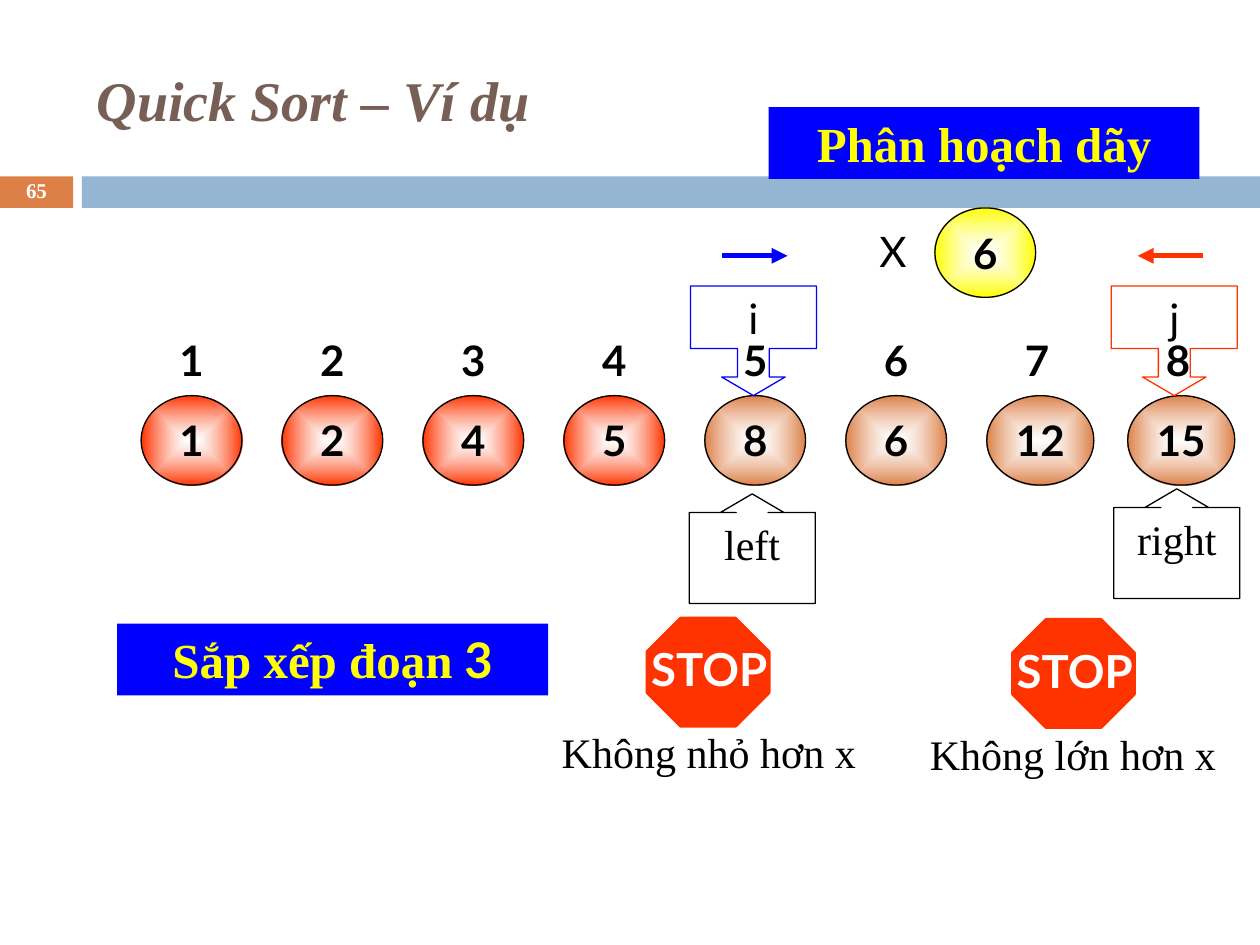
"""Build the Quick Sort partition example slide."""
from lxml import etree
from pptx import Presentation
from pptx.dml.color import RGBColor
from pptx.enum.shapes import MSO_CONNECTOR, MSO_SHAPE
from pptx.enum.text import MSO_ANCHOR, PP_ALIGN
from pptx.oxml import parse_xml
from pptx.oxml.ns import nsdecls, qn
from pptx.util import Inches, Pt

RECT, OVAL, STOP = MSO_SHAPE.RECTANGLE, MSO_SHAPE.OVAL, MSO_SHAPE.OCTAGON
UP, DOWN = MSO_SHAPE.UP_ARROW_CALLOUT, MSO_SHAPE.DOWN_ARROW_CALLOUT
LEFT, CENTER = PP_ALIGN.LEFT, PP_ALIGN.CENTER
TOP, MIDDLE = MSO_ANCHOR.TOP, MSO_ANCHOR.MIDDLE
STRAIGHT = MSO_CONNECTOR.STRAIGHT

BLACK = RGBColor(0x00, 0x00, 0x00)
WHITE = RGBColor(0xFF, 0xFF, 0xFF)
YELLOW = RGBColor(0xFF, 0xFF, 0x00)
BLUE = RGBColor(0x00, 0x00, 0xFF)
RED = RGBColor(0xFF, 0x33, 0x00)
ORANGE = RGBColor(0xDD, 0x80, 0x47)
SKY = RGBColor(0x94, 0xB6, 0xD2)
BROWN = RGBColor(0x77, 0x5F, 0x55)
SANS, SERIF = "Lato", "Times New Roman"

deck = Presentation()
deck.slide_width, deck.slide_height = Inches(10), Inches(7.5)
slide = deck.slides.add_slide(deck.slide_layouts[6])


def add_box(kind, x, y, w, h, fill=None, line=None, weight=0.75, glow=None):
    box = slide.shapes.add_shape(kind, Inches(x), Inches(y), Inches(w), Inches(h))
    box.shadow.inherit = False
    if fill is None:
        box.fill.background()
    else:
        box.fill.solid()
        box.fill.fore_color.rgb = fill
    if line is None:
        box.line.fill.background()
    else:
        box.line.color.rgb = line
        box.line.width = Pt(weight)
    if glow is not None:
        props = box.fill._xPr
        props.replace(props.find(qn("a:noFill")), parse_xml(
            f'<a:gradFill {nsdecls("a")} rotWithShape="1"><a:gsLst>'
            '<a:gs pos="0"><a:srgbClr val="FFFFFF"><a:alpha val="60000"/></a:srgbClr></a:gs>'
            f'<a:gs pos="100000"><a:srgbClr val="{glow}"/></a:gs></a:gsLst>'
            '<a:path path="rect"><a:fillToRect l="50000" t="50000" r="50000" b="50000"/>'
            '</a:path></a:gradFill>'))
    return box


def set_text(box, text, size=24, font=SERIF, color=BLACK, bold=False,
             align=CENTER, anchor=TOP, wrap=True):
    frame = box.text_frame
    frame.text = text
    frame.word_wrap = wrap
    frame.vertical_anchor = anchor
    para = frame.paragraphs[0]
    para.alignment = align
    run = para.runs[0]
    run.font.size, run.font.name, run.font.bold = Pt(size), font, bold
    run.font.color.rgb = color
    return para


badge = add_box(RECT, 0, 1.4, 0.58, 0.25, ORANGE)
add_box(RECT, 0.65, 1.4, 9.35, 0.25, SKY)
set_text(badge, "65", 12, color=WHITE, bold=True, anchor=MIDDLE).line_spacing = 0.8

title = slide.shapes.add_textbox(Inches(0.67), Inches(0.25), Inches(8.92), Inches(1.08))
head = set_text(title, "Quick Sort – Ví dụ", 32, color=BROWN, bold=True,
                align=LEFT, anchor=MIDDLE)
head.runs[0].font.italic = True

pivot = add_box(OVAL, 7.42, 1.65, 0.8, 0.71, line=BLACK, glow=YELLOW)
set_text(pivot, "6", font=SANS, bold=True, wrap=False)
name = slide.shapes.add_textbox(Inches(6.88), Inches(1.74), Inches(0.42), Inches(0.5))
set_text(name, "X", font=SANS, align=LEFT, wrap=False)

STEP = 7.83 / 7
for i, value in enumerate([1, 2, 4, 5, 8, 6, 12, 15]):
    x = 1.12 + i * STEP
    width = 0.85 if value > 9 else 0.8
    ball = add_box(OVAL, x, 3.14, width, 0.71, line=BLACK, glow=RED if i < 4 else ORANGE)
    label = add_box(OVAL, x, 2.5, 0.8, 0.71)
    set_text(ball, str(value), font=SANS, bold=True, wrap=False)
    set_text(label, str(i + 1), font=SANS, bold=True, wrap=False)

for kind, text, x, y, body, color, font in [
    (UP, "left", 5.47, 3.92, 0.85, BLACK, SERIF),
    (UP, "right", 8.84, 3.88, 0.85, BLACK, SERIF),
    (DOWN, "i", 5.48, 2.27, 0.57, BLUE, SANS),
    (DOWN, "j", 8.82, 2.27, 0.57, RED, SANS),
]:
    mark = add_box(kind, x, y, 1, 0.87, line=color)
    for k, part in enumerate([0.29, 0.29, 0.17, body]):
        mark.adjustments[k] = part
    set_text(mark, text, font=font)

for start, end, color in [(5.73, 6.25, BLUE), (9.55, 9.03, RED)]:
    arrow = slide.shapes.add_connector(
        STRAIGHT, Inches(start), Inches(2.03), Inches(end), Inches(2.03))
    arrow.line.color.rgb = color
    arrow.line.width = Pt(3)
    etree.SubElement(arrow.line._get_or_add_ln(), qn("a:tailEnd"), type="triangle")
    etree.SubElement(arrow._element.spPr, qn("a:effectLst"))

for x, y, left, text in [
    (5.14, 4.91, 4.14, "Không nhỏ hơn x"),
    (8.04, 4.92, 7.03, "Không lớn hơn x"),
]:
    sign = add_box(STOP, x, y, 0.96, 0.85, RED, RED, 2.25)
    sign.adjustments[0] = 0.31
    sign.text_frame.margin_right = 0
    set_text(sign, "STOP ", 26, SANS, WHITE, True, wrap=False)
    note = slide.shapes.add_textbox(Inches(left), Inches(y + 0.81), Inches(2.97), Inches(0.5))
    note.text_frame.margin_left = note.text_frame.margin_right = 0
    set_text(note, text)

for x, y, text, tail in [
    (0.93, 4.95, "Sắp xếp đoạn", " 3"),
    (6.1, 0.85, "Phân hoạch dãy", ""),
]:
    banner = add_box(RECT, x, y, 3.42, 0.57, BLUE)
    para = set_text(banner, text, 28, color=YELLOW, bold=True)
    if tail:
        run = para.add_run()
        run.text = tail
        run.font.size, run.font.name, run.font.bold = Pt(28), SANS, True
        run.font.color.rgb = YELLOW

deck.save("out.pptx")
